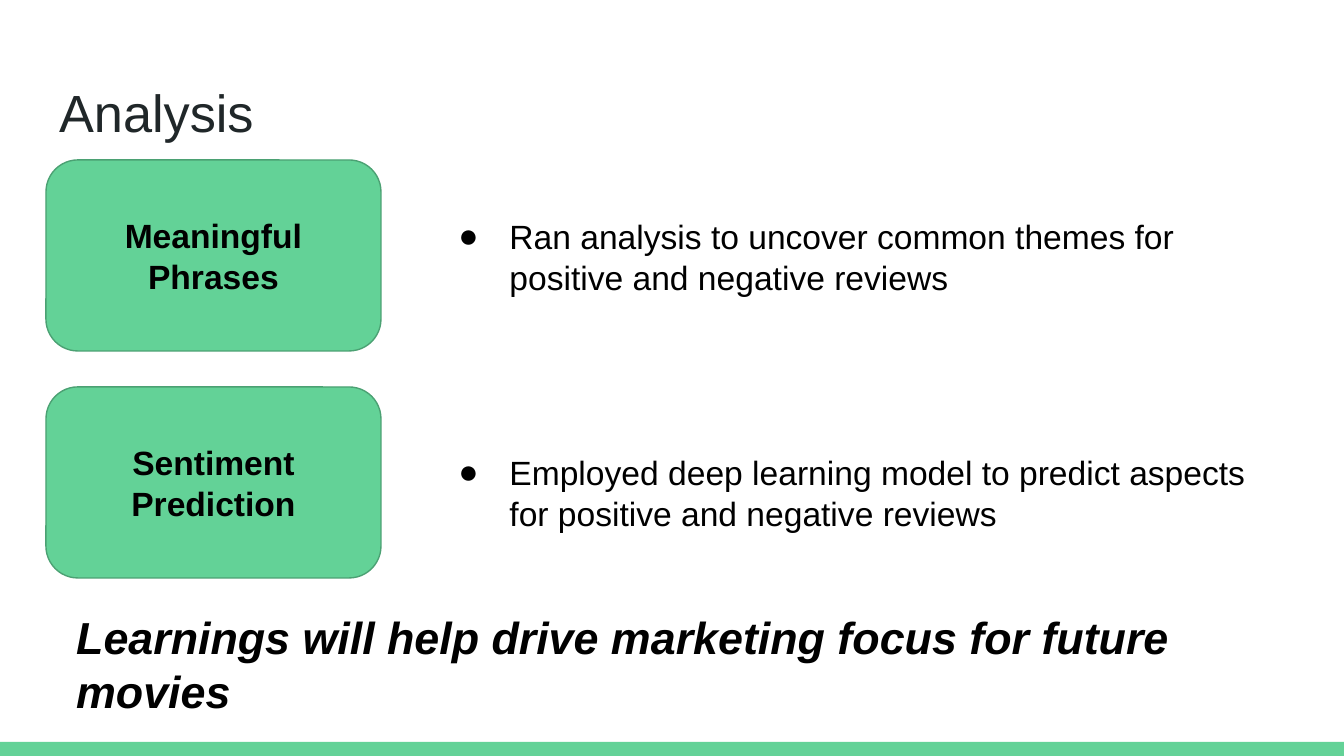
from pptx import Presentation, util as u
from pptx.dml.color import RGBColor
from pptx.enum import shapes, text
from pptx.oxml import parse_xml
from pptx.oxml.ns import nsdecls

GREEN = RGBColor(0x63, 0xD2, 0x97)
DARK_GREEN = RGBColor(0x4B, 0xA1, 0x73)
SLATE = RGBColor(0x20, 0x27, 0x29)
BLACK = RGBColor(0, 0, 0)
EMU_PER_PX = 914400 / 134.4


def px(length):
    return u.Emu(round(length * EMU_PER_PX))


class AnalysisSlide:
    """Draws the parts of the analysis slide in one shared style."""

    font = "Arial"
    inset = u.Inches(0.1)

    def __init__(self, deck):
        self.slide = deck.slides.add_slide(deck.slide_layouts[6])

    def block(self, kind, box, outline=None):
        block = self.slide.shapes.add_shape(kind, *map(px, box))
        block.shadow.inherit = False
        block.fill.solid()
        block.fill.fore_color.rgb = GREEN
        if outline is None:
            block.line.fill.background()
        else:
            block.line.color.rgb = outline
            block.line.width = u.Pt(0.75)
        return block

    def set_words(self, frame, words, size, color=BLACK, bold=False, italic=False,
                  align=text.PP_ALIGN.LEFT, bullet=False):
        frame.word_wrap = True
        frame.vertical_anchor = text.MSO_ANCHOR.MIDDLE
        frame.margin_left = frame.margin_right = self.inset
        frame.margin_top = frame.margin_bottom = self.inset
        paragraph = frame.paragraphs[0]
        paragraph.alignment = align
        if bullet:
            properties = paragraph._p.get_or_add_pPr()
            properties.set("marL", str(u.Inches(0.5)))
            properties.set("indent", str(u.Inches(-0.38)))
            ns = nsdecls("a")
            properties.append(parse_xml(f'<a:buClr {ns}><a:srgbClr val="{BLACK}"/></a:buClr>'))
            properties.append(parse_xml(f'<a:buFont {ns} typeface="{self.font}"/>'))
            properties.append(parse_xml(f'<a:buChar {ns} char="●"/>'))
        run = paragraph.add_run()
        run.text = words
        run.font.name = self.font
        run.font.size = u.Pt(size)
        run.font.color.rgb = color
        run.font.bold = bold
        run.font.italic = italic

    def card(self, box, words):
        card = self.block(shapes.MSO_SHAPE.ROUNDED_RECTANGLE, box, DARK_GREEN)
        self.set_words(card.text_frame, words, 18, bold=True, align=text.PP_ALIGN.CENTER)

    def label(self, box, words, size, **style):
        label = self.slide.shapes.add_textbox(*map(px, box))
        self.set_words(label.text_frame, words, size, **style)


def main():
    deck = Presentation()
    deck.slide_width, deck.slide_height = px(1344), px(756)
    page = AnalysisSlide(deck)
    page.block(shapes.MSO_SHAPE.RECTANGLE, (0, 742, 1344, 14))
    page.label((46, 70, 1252, 84), "Analysis", 28, color=SLATE)
    steps = [
        (160, "Meaningful Phrases", 171,
         "Ran analysis to uncover common themes for positive and negative reviews"),
        (387, "Sentiment Prediction", 407,
         "Employed deep learning model to predict aspects for positive and negative reviews"),
    ]
    for card_top, step, finding_top, finding in steps:
        page.card((46, card_top, 335, 191), step)
        page.label((429, finding_top, 835, 171), finding, 18, bullet=True)
    page.label((63, 578, 1235, 171),
               "Learnings will help drive marketing focus for future movies",
               24, bold=True, italic=True)
    deck.save("out.pptx")


if __name__ == "__main__":
    main()
